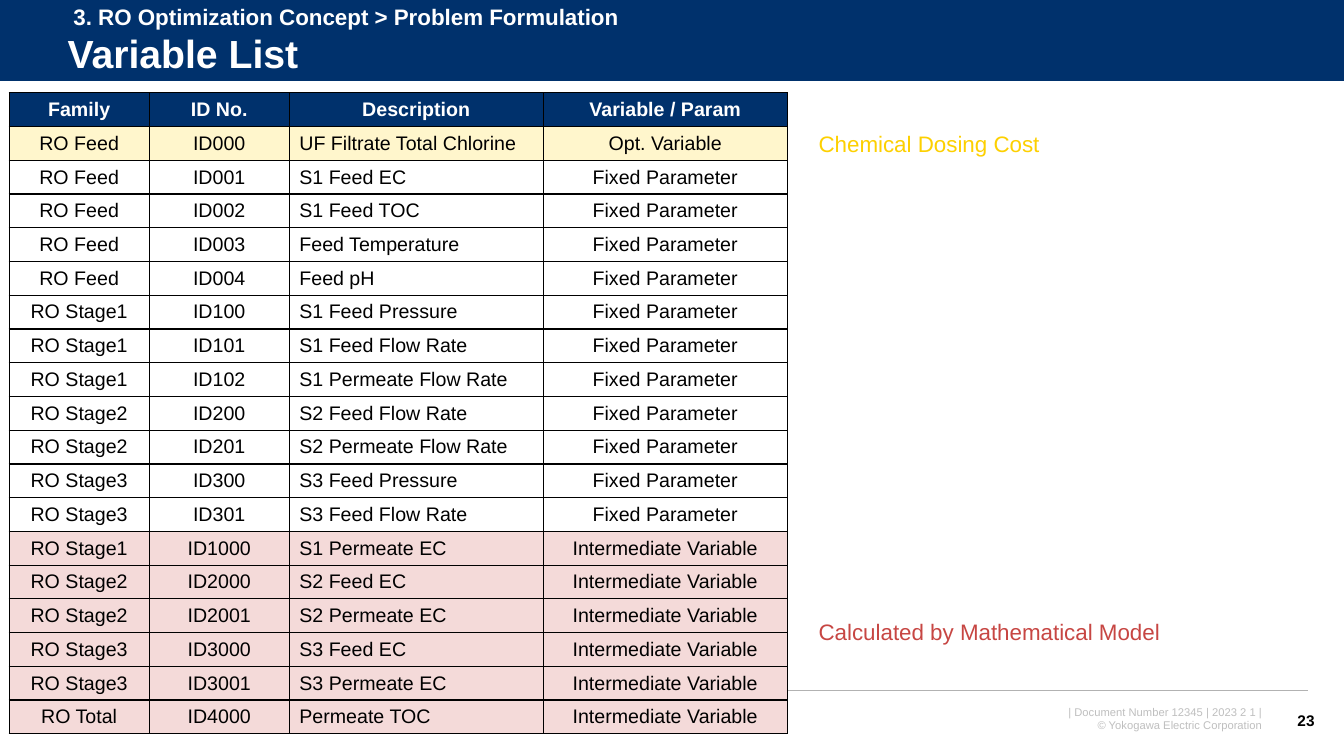
from lxml.etree import SubElement as Sub
from pptx import Presentation
from pptx.dml.color import RGBColor as RGB
from pptx.enum.shapes import MSO_CONNECTOR as Link, MSO_SHAPE as Shape
from pptx.enum.text import MSO_ANCHOR as Anchor, MSO_AUTO_SIZE as Fit
from pptx.enum.text import PP_ALIGN as Align
from pptx.oxml.ns import qn
from pptx.util import Cm, Pt

WIDE, HIGH = 33.87, 19.05
COLORS = {
    "navy": "00316C", "white": "FFFFFF", "black": "000000",
    "gray": "BFBFBF", "rule": "B2B2B2", "gold": "FDD000",
    "cream": "FFF6CC", "red": "C74643", "pink": "F4DAD9",
}
HEADS = ["Family", "ID No.", "Description", "Variable / Param"]
WIDTHS = [3.53, 3.53, 6.4, 6.15]
# Each group: kind of variable, row fill, rows
GROUPS = [
    ("Opt. Variable", "cream", [
        ("RO Feed", "ID000", "UF Filtrate Total Chlorine"),
    ]),
    ("Fixed Parameter", None, [
        ("RO Feed", "ID001", "S1 Feed EC"),
        ("RO Feed", "ID002", "S1 Feed TOC"),
        ("RO Feed", "ID003", "Feed Temperature"),
        ("RO Feed", "ID004", "Feed pH"),
        ("RO Stage1", "ID100", "S1 Feed Pressure"),
        ("RO Stage1", "ID101", "S1 Feed Flow Rate"),
        ("RO Stage1", "ID102", "S1 Permeate Flow Rate"),
        ("RO Stage2", "ID200", "S2 Feed Flow Rate"),
        ("RO Stage2", "ID201", "S2 Permeate Flow Rate"),
        ("RO Stage3", "ID300", "S3 Feed Pressure"),
        ("RO Stage3", "ID301", "S3 Feed Flow Rate"),
    ]),
    ("Intermediate Variable", "pink", [
        ("RO Stage1", "ID1000", "S1 Permeate EC"),
        ("RO Stage2", "ID2000", "S2 Feed EC"),
        ("RO Stage2", "ID2001", "S2 Permeate EC"),
        ("RO Stage3", "ID3000", "S3 Feed EC"),
        ("RO Stage3", "ID3001", "S3 Permeate EC"),
        ("RO Total", "ID4000", "Permeate TOC"),
    ]),
]


def tint(name):
    return RGB.from_string(COLORS[name])


def write(frame, text, size=16, color="black", bold=False,
          align=Align.LEFT, anchor=Anchor.TOP):
    frame.word_wrap = True
    frame.vertical_anchor = anchor
    frame.text = text
    for para in frame.paragraphs:
        para.alignment = align
        font = para.font
        font.name, font.size, font.bold = "Arial", Pt(size), bold
        font.color.rgb = tint(color)


def add_text(slide, box, text, **style):
    label = slide.shapes.add_textbox(*map(Cm, box))
    write(label.text_frame, text, **style)
    return label


def add_line(slide, left, right, top, color, width):
    line = slide.shapes.add_connector(
        Link.STRAIGHT, Cm(left), Cm(top), Cm(right), Cm(top))
    line.line.color.rgb = tint(color)
    line.line.width = Pt(width)
    Sub(line._element.spPr, qn("a:effectLst"))


def add_header(slide, box):
    left, top, width, height = box
    bar = slide.shapes.add_shape(Shape.RECTANGLE, *map(Cm, box))
    bar.shadow.inherit = False
    bar.fill.solid()
    bar.fill.fore_color.rgb = tint("navy")
    bar.line.fill.background()
    add_line(slide, left, left + width, top + height, "white", 0.75)

    # Title, raised above the bar
    title = slide.shapes.title
    title.left, title.top = Cm(left + 1.45), Cm(top + 0.69)
    title.width, title.height = Cm(width - 2.2), Cm(1.45)
    write(title.text_frame, "Variable List", size=28, color="white",
          bold=True, anchor=Anchor.MIDDLE)
    title.text_frame.auto_size = Fit.NONE
    title.text_frame.paragraphs[0].line_spacing = 0.9
    slide.shapes._spTree.append(title._element)

    # Section trail
    add_text(slide, (left + 1.6, top - 0.05, 15.06, 0.94),
             "3. RO Optimization Concept > Problem Formulation",
             color="white", bold=True)


def add_footer(slide, box):
    left, top, width, _ = box
    right = left + width
    add_line(slide, left, right, top, "rule", 1)
    note = add_text(slide, (right - 8.9, top + 0.25, 8.15, 0.94),
                    "| Document Number 12345 | 2023 2 1 |\n"
                    "© Yokogawa Electric Corporation",
                    size=8, color="gray", align=Align.RIGHT)
    first = note.text_frame.paragraphs[0]
    first._p.get_or_add_pPr().set("marR", str(Cm(0.16)))
    add_text(slide, (right - 0.71, top + 0.25, 1.12, 1.02), "23", size=11,
             bold=True, align=Align.RIGHT, anchor=Anchor.MIDDLE)


def add_edges(cell):
    props = cell._tc.get_or_add_tcPr()
    for side in ("lnL", "lnR", "lnT", "lnB"):
        edge = Sub(props, qn("a:" + side), w=str(Pt(1)))
        fill = Sub(edge, qn("a:solidFill"))
        Sub(fill, qn("a:srgbClr"), val=COLORS["black"])


def add_grid(slide, box):
    rows = [(HEADS, "navy")]
    for kind, fill, items in GROUPS:
        rows += [((*item, kind), fill) for item in items]
    table = slide.shapes.add_table(
        len(rows), len(HEADS), *map(Cm, box)).table
    table.horz_banding = False
    for col, width in zip(table.columns, WIDTHS):
        col.width = Cm(width)
    for r, (values, fill) in enumerate(rows):
        table.rows[r].height = Cm(box[3] / len(rows))
        head = r == 0
        for c, value in enumerate(values):
            cell = table.cell(r, c)
            add_edges(cell)
            if fill:
                cell.fill.solid()
                cell.fill.fore_color.rgb = tint(fill)
            else:
                cell.fill.background()
            plain = c == 2 and not head
            write(cell.text_frame, value, size=14, bold=head,
                  color="white" if head else "black",
                  align=Align.LEFT if plain else Align.CENTER)
            cell.vertical_anchor = Anchor.MIDDLE


def add_notes(slide, box):
    left, top, width, height = box
    add_text(slide, (left, top, width, 0.94),
             "Chemical Dosing Cost", color="gold")
    add_text(slide, (left, top + height - 0.94, width, 0.94),
             "Calculated by Mathematical Model", color="red")


def main():
    deck = Presentation()
    deck.slide_width, deck.slide_height = Cm(WIDE), Cm(HIGH)
    slide = deck.slides.add_slide(deck.slide_layouts[5])
    add_header(slide, (0, 0, WIDE, 2.05))
    add_footer(slide, (0.89, 17.4, 32.08, 1.65))
    add_grid(slide, (0.23, 2.34, sum(WIDTHS), 16.15))
    add_notes(slide, (20.38, 3.15, 11.84, 13.23))
    deck.save("out.pptx")


if __name__ == "__main__":
    main()
